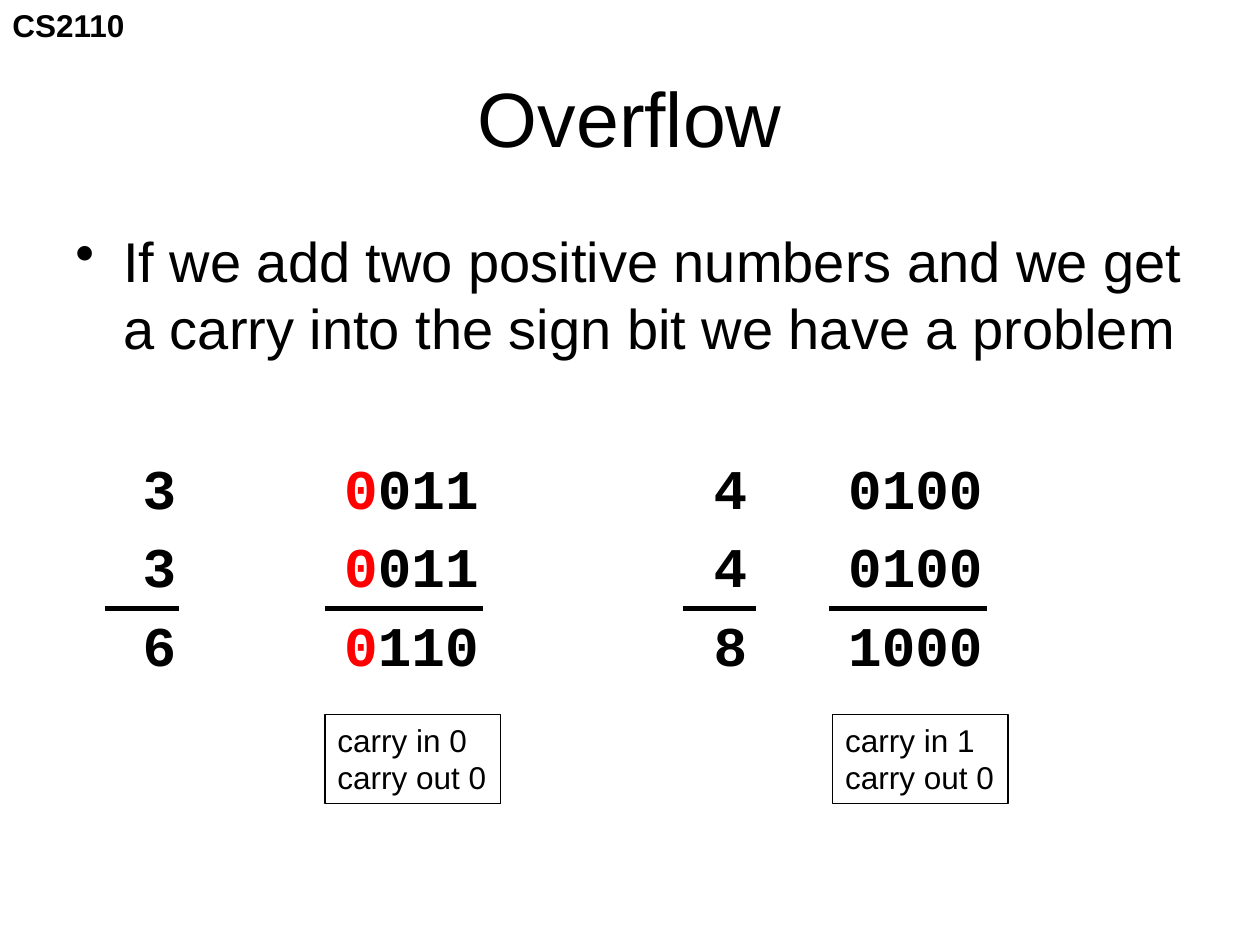
from dataclasses import dataclass

from lxml import etree
from pptx import Presentation
from pptx.dml.color import RGBColor
from pptx.enum.shapes import MSO_CONNECTOR, MSO_SHAPE
from pptx.enum.text import MSO_ANCHOR, PP_ALIGN
from pptx.oxml.ns import qn
from pptx.util import Inches, Pt

STRAIGHT = MSO_CONNECTOR.STRAIGHT
RECTANGLE = MSO_SHAPE.RECTANGLE
TOP, MIDDLE = MSO_ANCHOR.TOP, MSO_ANCHOR.MIDDLE
LEFT, CENTER = PP_ALIGN.LEFT, PP_ALIGN.CENTER


@dataclass(frozen=True)
class Theme:
    """Colours, fonts and type sizes of the slide."""
    ink: RGBColor = RGBColor(0, 0, 0)
    sign_bit: RGBColor = RGBColor(255, 0, 0)
    sans: str = "Arial"
    mono: str = "Courier New"
    title: int = 44
    body: int = 32
    small: int = 18


THEME = Theme()
DIGIT_WIDTH = 0.6 * THEME.body / 72
DIGIT_COLUMNS = (2, 8, 19, 23)
SUM_ROWS = (
    (("\t3\t",), ("0", THEME.sign_bit), ("011\t4\t0100",)),
    (("\t3\t",), ("0", THEME.sign_bit), ("011\t4\t0100",)),
    (("\t6\t",), ("0", THEME.sign_bit), ("110\t8\t1000",)),
)


def write(paragraph, text, size=THEME.body, font=THEME.sans, color=THEME.ink, bold=False):
    """Add one formatted run to a paragraph."""
    run = paragraph.add_run()
    run.text = text
    run.font.size, run.font.name, run.font.bold = Pt(size), font, bold
    run.font.color.rgb = color


def text_frame(slide, box, anchor=TOP, wrap=True):
    """Add a text box and return its frame."""
    frame = slide.shapes.add_textbox(*map(Inches, box)).text_frame
    frame.word_wrap, frame.vertical_anchor = wrap, anchor
    return frame


def paragraphs(frame, count):
    """Return the given number of paragraphs, starting with the existing one."""
    return [frame.paragraphs[0]] + [frame.add_paragraph() for _ in range(count - 1)]


def course_label(slide, box):
    """Place the course code in the corner."""
    frame = text_frame(slide, box, wrap=False)
    write(frame.paragraphs[0], "CS2110", size=THEME.small, bold=True)


def title(slide, box):
    """Place the centred slide title."""
    heading = text_frame(slide, box, anchor=MIDDLE).paragraphs[0]
    heading.alignment = CENTER
    write(heading, "Overflow", size=THEME.title)


def statement(slide, box):
    """Place the bulleted rule about overflow."""
    rule = text_frame(slide, box).paragraphs[0]
    properties = rule._p.get_or_add_pPr()
    properties.set("marL", str(Inches(0.38)))
    properties.set("indent", str(-Inches(0.38)))
    etree.SubElement(properties, qn("a:buChar")).set("char", "•")
    write(rule, "If we add two positive numbers and we get a carry into the sign bit "
                "we have a problem")


def sums(slide, box):
    """Place both additions as rows of digits aligned on tab stops."""
    frame = text_frame(slide, box)
    for index, (row, parts) in enumerate(zip(paragraphs(frame, len(SUM_ROWS)), SUM_ROWS)):
        stops = etree.SubElement(row._p.get_or_add_pPr(), qn("a:tabLst"))
        for column in DIGIT_COLUMNS:
            stop = etree.SubElement(stops, qn("a:tab"))
            stop.set("pos", str(Inches(column * DIGIT_WIDTH)))
            stop.set("algn", "l")
        if index:
            row.space_before = Pt(0.2 * THEME.body)
        for text, *color in parts:
            write(row, text, font=THEME.mono, bold=True,
                  color=color[0] if color else THEME.ink)


def sum_line(slide, left, top, width):
    """Draw the rule above a result."""
    ends = map(Inches, (left, top, left + width, top))
    line = slide.shapes.add_connector(STRAIGHT, *ends)
    line.line.color.rgb, line.line.width = THEME.ink, Pt(3)
    etree.SubElement(line._element.spPr, qn("a:effectLst"))


def carry_note(slide, box, carry_in, carry_out):
    """Place the outlined note about the carries of one addition."""
    note = slide.shapes.add_shape(RECTANGLE, *map(Inches, box))
    note.shadow.inherit = False
    note.fill.background()
    note.line.color.rgb, note.line.width = THEME.ink, Pt(0.75)
    frame = note.text_frame
    frame.word_wrap, frame.vertical_anchor = False, TOP
    lines = (f"carry in {carry_in}", f"carry out {carry_out}")
    for paragraph, text in zip(paragraphs(frame, len(lines)), lines):
        paragraph.alignment = LEFT
        write(paragraph, text, size=THEME.small)


def main():
    """Build and save the slide."""
    deck = Presentation()
    deck.slide_width, deck.slide_height = Inches(10), Inches(7.5)
    slide = deck.slides.add_slide(deck.slide_layouts[6])
    course_label(slide, (0, 0, 1.1, 0.4))
    title(slide, (0.5, 0.3, 9, 1.25))
    statement(slide, (0.5, 1.75, 9, 1.25))
    sums(slide, (0.5, 3.55, 9, 2.03))
    for left, width in ((0.83, 0.59), (2.58, 1.25), (5.42, 0.58), (6.58, 1.25)):
        sum_line(slide, left, 4.83, width)
    for left, carry_in in ((2.58, 0), (6.61, 1)):
        carry_note(slide, (left, 5.67, 1.39, 0.71), carry_in, 0)
    deck.save("out.pptx")


if __name__ == "__main__":
    main()
